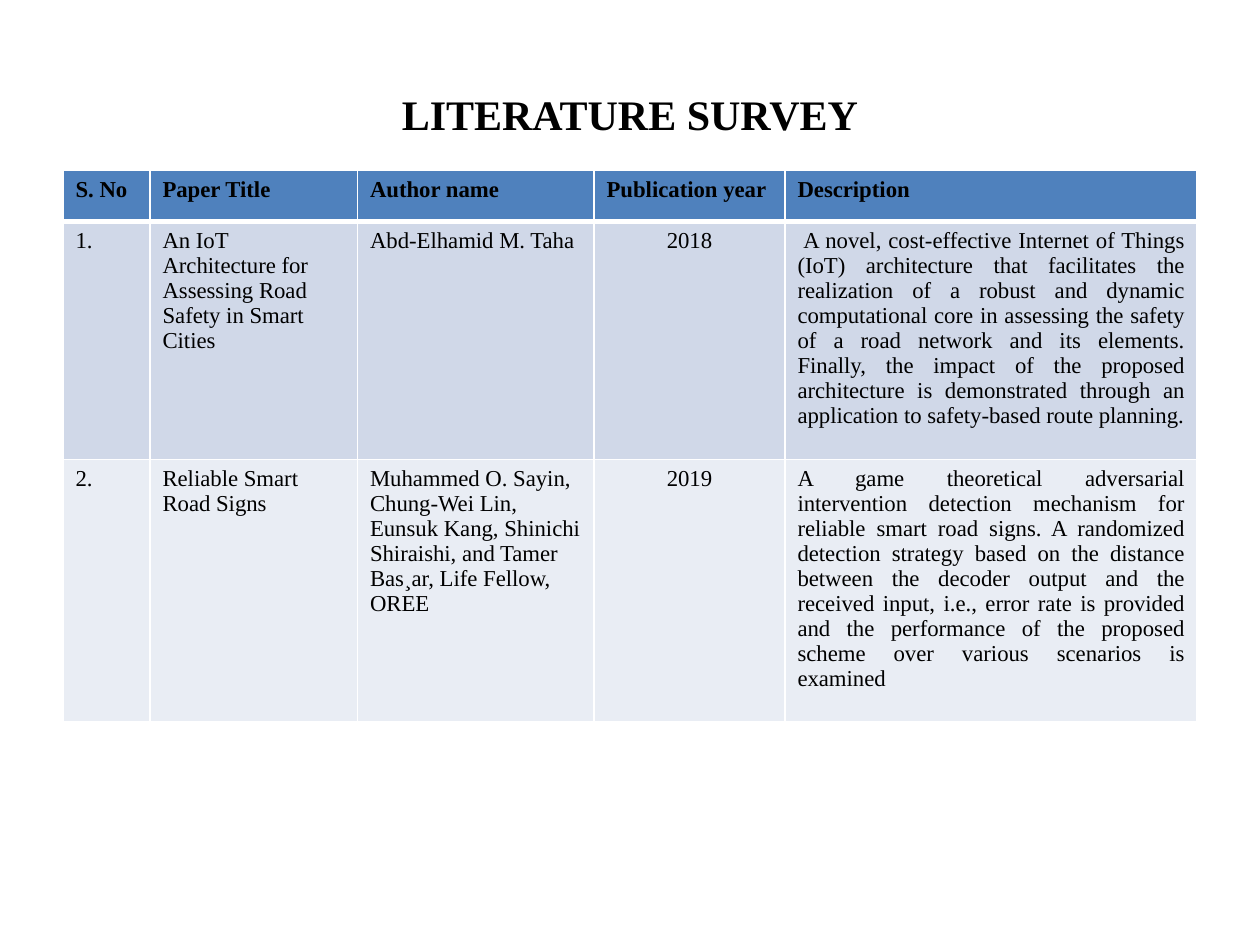
from dataclasses import dataclass

from lxml import etree
from pptx import Presentation
from pptx.dml.color import RGBColor
from pptx.enum.text import MSO_ANCHOR, PP_ALIGN
from pptx.oxml.ns import qn
from pptx.util import Pt

LEFT, CENTER, JUSTIFY = PP_ALIGN.LEFT, PP_ALIGN.CENTER, PP_ALIGN.JUSTIFY
MIDDLE = MSO_ANCHOR.MIDDLE
FONT = "Times New Roman"
COLORS = {
    "text": "000000",
    "border": "FFFFFF",
    "header": "4F81BD",
    "odd": "D0D8E8",
    "even": "E9EDF4",
}


@dataclass
class Column:
    heading: str
    width: float
    align: PP_ALIGN = LEFT


@dataclass
class Row:
    texts: list[str]
    height: float
    fill: str
    bold: bool = False


COLUMNS = [
    Column("S. No", 49.7),
    Column("Paper Title", 118.6),
    Column("Author name", 135.2),
    Column("Publication year", 109.1, CENTER),
    Column("Description", 235.4, JUSTIFY),
]
ROWS = [
    Row([column.heading for column in COLUMNS], 29.2, "header", bold=True),
    Row([
        "1.",
        "An IoT Architecture for Assessing Road Safety in Smart Cities",
        "Abd-Elhamid M. Taha",
        "2018",
        " A novel, cost-effective Internet of Things (IoT) architecture that "
        "facilitates the realization of a robust and dynamic computational core "
        "in assessing the safety of a road network and its elements. Finally, "
        "the impact of the proposed architecture is demonstrated through an "
        "application to safety-based route planning.",
    ], 136, "odd"),
    Row([
        "2.",
        "Reliable Smart Road Signs",
        "Muhammed O. Sayin, Chung-Wei Lin, Eunsuk Kang, Shinichi Shiraishi, "
        "and Tamer Bas¸ar, Life Fellow, OREE",
        "2019",
        "A game theoretical adversarial intervention detection mechanism for "
        "reliable smart road signs. A randomized detection strategy based on "
        "the distance between the decoder output and the received input, i.e., "
        "error rate is provided and the performance of the proposed scheme over "
        "various scenarios is examined",
    ], 149.6, "even"),
]


def write_text(text_frame, text: str, *, size: float, bold: bool = False,
               align: PP_ALIGN = LEFT) -> None:
    paragraph = text_frame.paragraphs[0]
    paragraph.alignment = align
    run = paragraph.add_run()
    run.text = text
    run.font.name = FONT
    run.font.size = Pt(size)
    run.font.bold = bold
    run.font.color.rgb = RGBColor.from_string(COLORS["text"])


def set_borders(cell, widths: dict[str, float]) -> None:
    properties = cell._tc.get_or_add_tcPr()
    for side, width in widths.items():
        line = etree.SubElement(properties, qn(f"a:ln{side}"), w=str(Pt(width)))
        fill = etree.SubElement(line, qn("a:solidFill"))
        etree.SubElement(fill, qn("a:srgbClr"), val=COLORS["border"])


def add_title(slide, text: str) -> None:
    title = slide.shapes.add_textbox(Pt(36), Pt(20), Pt(648), Pt(90))
    title.text_frame.word_wrap = True
    title.text_frame.vertical_anchor = MIDDLE
    write_text(title.text_frame, text, size=24, bold=True, align=CENTER)


def add_survey_table(slide) -> None:
    table = slide.shapes.add_table(
        len(ROWS), len(COLUMNS), Pt(36), Pt(97.5),
        Pt(sum(column.width for column in COLUMNS)),
        Pt(sum(row.height for row in ROWS))).table
    for index, column in enumerate(COLUMNS):
        table.columns[index].width = Pt(column.width)

    for row_index, row in enumerate(ROWS):
        table.rows[row_index].height = Pt(row.height)
        # The rule below the header is thicker than the others
        top = 3 if row_index == 1 else 1
        bottom = 3 if row_index == 0 else 1
        for column_index, (column, text) in enumerate(zip(COLUMNS, row.texts)):
            cell = table.cell(row_index, column_index)
            set_borders(cell, {"L": 1, "R": 1, "T": top, "B": bottom})
            cell.fill.solid()
            cell.fill.fore_color.rgb = RGBColor.from_string(COLORS[row.fill])
            align = LEFT if row_index == 0 else column.align
            write_text(cell.text_frame, text, size=13, bold=row.bold, align=align)


def main() -> None:
    presentation = Presentation()
    presentation.slide_width, presentation.slide_height = Pt(720), Pt(540)
    slide = presentation.slides.add_slide(presentation.slide_layouts[6])
    add_title(slide, "LITERATURE SURVEY")
    add_survey_table(slide)
    presentation.save("out.pptx")


if __name__ == "__main__":
    main()
